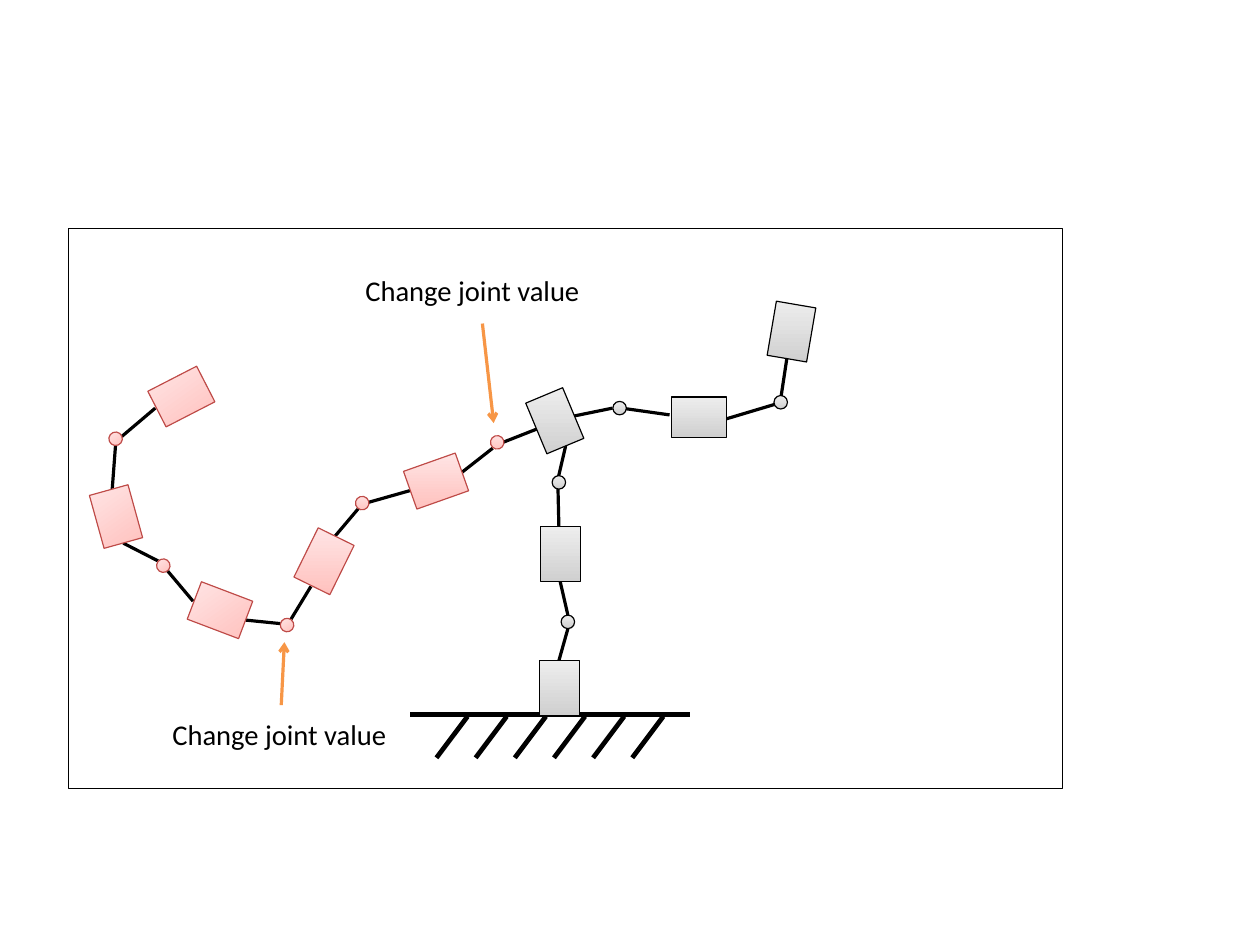
"""Draw a jointed robot with two joints marked for a value change."""
from dataclasses import dataclass

import pptx
import pptx.dml.color
import pptx.enum.shapes
import pptx.oxml
import pptx.oxml.ns
import pptx.shapes.autoshape
import pptx.shapes.connector
import pptx.slide
import pptx.util
from pptx.dml.color import RGBColor
from pptx.enum.shapes import MSO_CONNECTOR, MSO_SHAPE
from pptx.util import Cm

Point = tuple[float, float]


@dataclass(frozen=True)
class Finish:
    dark: RGBColor
    light: RGBColor
    outline: RGBColor
    gradient_angle: float


@dataclass(frozen=True)
class Theme:
    ink: RGBColor = RGBColor(0, 0, 0)
    accent: RGBColor = RGBColor(0xF7, 0x96, 0x46)
    font: str = "Calibri"
    text_size: float = 18
    outline_width: float = 0.75
    link_width: float = 2
    ground_width: float = 3


@dataclass(frozen=True)
class Kind:
    geometry: MSO_SHAPE
    width: float
    height: float


@dataclass(frozen=True)
class Part:
    kind: Kind
    finish: Finish
    center: Point
    rotation: float = 0


@dataclass(frozen=True)
class Link:
    start: Point
    end: Point


@dataclass(frozen=True)
class Callout:
    text_corner: Point
    text_width: float
    arrow: Link


THEME = Theme()
BODY = Kind(MSO_SHAPE.RECTANGLE, 0.89, 1.22)
JOINT = Kind(MSO_SHAPE.OVAL, 0.3, 0.3)
GRAY = Finish(RGBColor(0xD0, 0xD0, 0xD0), RGBColor(0xED, 0xED, 0xED), THEME.ink, 270)
PINK_COLORS = (RGBColor(0xFF, 0xC1, 0xBE), RGBColor(0xFF, 0xE5, 0xE5), RGBColor(0xBE, 0x4B, 0x48))
UPPER_PINK = Finish(*PINK_COLORS, 270)
LOWER_PINK = Finish(*PINK_COLORS, 234.6)

LINKS = [
    Link((17.5, 7.87), (17.35, 8.86)),
    Link((17.27, 8.97), (16.1, 9.32)),
    Link((14.88, 9.22), (13.82, 9.07)),
    Link((13.61, 9.07), (12.73, 9.25)),
    Link((12.57, 9.91), (12.4, 10.64)),
    Link((12.42, 14.68), (12.62, 13.97)),
    Link((12.45, 12.93), (12.62, 13.67)),
    Link((12.42, 11.73), (12.4, 10.87)),
    Link((11.94, 9.53), (11.1, 9.86)),
    Link((8.05, 11.2), (7.34, 12.04)),
    Link((10.95, 9.96), (10.21, 10.54)),
    Link((9.12, 10.9), (8.13, 11.18)),
    Link((6.91, 13.03), (6.4, 13.87)),
    Link((3.45, 9.07), (2.67, 9.73)),
    Link((2.57, 9.86), (2.49, 10.92)),
    Link((2.74, 12.07), (3.58, 12.5)),
    Link((5.36, 13.77), (6.35, 13.87)),
    Link((3.71, 12.67), (4.29, 13.36)),
]
PARTS = [
    Part(BODY, GRAY, (12.43, 15.29)),
    Part(JOINT, GRAY, (12.62, 13.82)),
    Part(BODY, GRAY, (12.46, 12.32)),
    Part(JOINT, GRAY, (12.42, 10.72)),
    Part(BODY, GRAY, (12.33, 9.35), 337.3),
    Part(JOINT, GRAY, (13.77, 9.07)),
    Part(BODY, GRAY, (15.53, 9.27), 90),
    Part(JOINT, GRAY, (17.35, 8.94)),
    Part(BODY, GRAY, (17.59, 7.37), 9.7),
    Part(JOINT, UPPER_PINK, (11.05, 9.83), 312.7),
    Part(BODY, UPPER_PINK, (9.69, 10.69), 250.5),
    Part(JOINT, UPPER_PINK, (8.05, 11.18), 312.7),
    Part(BODY, UPPER_PINK, (7.2, 12.47), 206.2),
    Part(JOINT, LOWER_PINK, (6.38, 13.89), 277.2),
    Part(BODY, LOWER_PINK, (4.89, 13.56), 290.8),
    Part(JOINT, LOWER_PINK, (3.63, 12.57), 277.2),
    Part(BODY, LOWER_PINK, (2.58, 11.48), 344.5),
    Part(JOINT, LOWER_PINK, (2.57, 9.75), 277.2),
    Part(BODY, LOWER_PINK, (4.03, 8.81), 242.8),
]
GROUND = Link((9.12, 15.88), (15.34, 15.88))
HATCHES = [Link((9.7 + 0.87 * index, 16.84), (10.39 + 0.87 * index, 15.92)) for index in range(6)]
CALLOUTS = [
    Callout((7.87, 5.94), 6.45, Link((10.72, 7.19), (10.97, 9.4))),
    Callout((3.58, 15.8), 5.59, Link((6.25, 15.67), (6.32, 14.27))),
]


def draw_link(slide: pptx.slide.Slide, link: Link, width: float,
              color: RGBColor = THEME.ink) -> pptx.shapes.connector.Connector:
    """Draw a straight line without a shadow."""
    connector = slide.shapes.add_connector(
        MSO_CONNECTOR.STRAIGHT, *(Cm(value) for value in (*link.start, *link.end)))
    connector.line.color.rgb = color
    connector.line.width = pptx.util.Pt(width)
    pptx.oxml.ns.qn("a:effectLst")
    effects = pptx.oxml.parse_xml(f"<a:effectLst {pptx.oxml.ns.nsdecls('a')}/>")
    connector._element.spPr.append(effects)
    return connector


def draw_outlined(slide: pptx.slide.Slide, geometry: MSO_SHAPE, corner: Point, size: Point,
                  outline: RGBColor) -> pptx.shapes.autoshape.Shape:
    """Draw a preset shape with a thin outline and no shadow."""
    shape = slide.shapes.add_shape(geometry, *(Cm(value) for value in (*corner, *size)))
    shape.shadow.inherit = False
    shape.line.color.rgb = outline
    shape.line.width = pptx.util.Pt(THEME.outline_width)
    return shape


def draw_part(slide: pptx.slide.Slide, part: Part) -> None:
    """Draw a robot body or joint, shaded at a fixed angle on the slide."""
    kind, finish = part.kind, part.finish
    corner = (part.center[0] - kind.width / 2, part.center[1] - kind.height / 2)
    shape = draw_outlined(slide, kind.geometry, corner, (kind.width, kind.height), finish.outline)
    shape.rotation = part.rotation
    shape.fill.gradient()
    shape.fill.gradient_angle = (part.rotation - finish.gradient_angle) % 360
    for stop, color in zip(shape.fill.gradient_stops, (finish.dark, finish.light)):
        stop.color.rgb = color


def draw_callout(slide: pptx.slide.Slide, callout: Callout) -> None:
    """Draw a label and its arrow to a joint."""
    arrow = draw_link(slide, callout.arrow, THEME.link_width, THEME.accent)
    head = pptx.oxml.parse_xml(f'<a:tailEnd {pptx.oxml.ns.nsdecls("a")} type="arrow"/>')
    arrow.line._get_or_add_ln().append(head)
    left, top = callout.text_corner
    text_box = slide.shapes.add_textbox(Cm(left), Cm(top), Cm(callout.text_width), Cm(1.78))
    text_box.text_frame.word_wrap = True
    paragraph = text_box.text_frame.paragraphs[0]
    paragraph.text = "Change joint value"
    paragraph.font.name = THEME.font
    paragraph.font.size = pptx.util.Pt(THEME.text_size)
    paragraph.font.color.rgb = THEME.ink


def main() -> None:
    """Build and save the slide."""
    presentation = pptx.Presentation()
    presentation.slide_width, presentation.slide_height = Cm(28), Cm(21)
    slide = presentation.slides.add_slide(presentation.slide_layouts[6])
    frame = draw_outlined(slide, MSO_SHAPE.RECTANGLE, (1.52, 5.08), (22.1, 12.45), THEME.ink)
    frame.fill.background()
    for link in LINKS:
        draw_link(slide, link, THEME.link_width)
    for link in (GROUND, *HATCHES):
        draw_link(slide, link, THEME.ground_width)
    for part in PARTS:
        draw_part(slide, part)
    for callout in CALLOUTS:
        draw_callout(slide, callout)
    presentation.save("out.pptx")


main()
